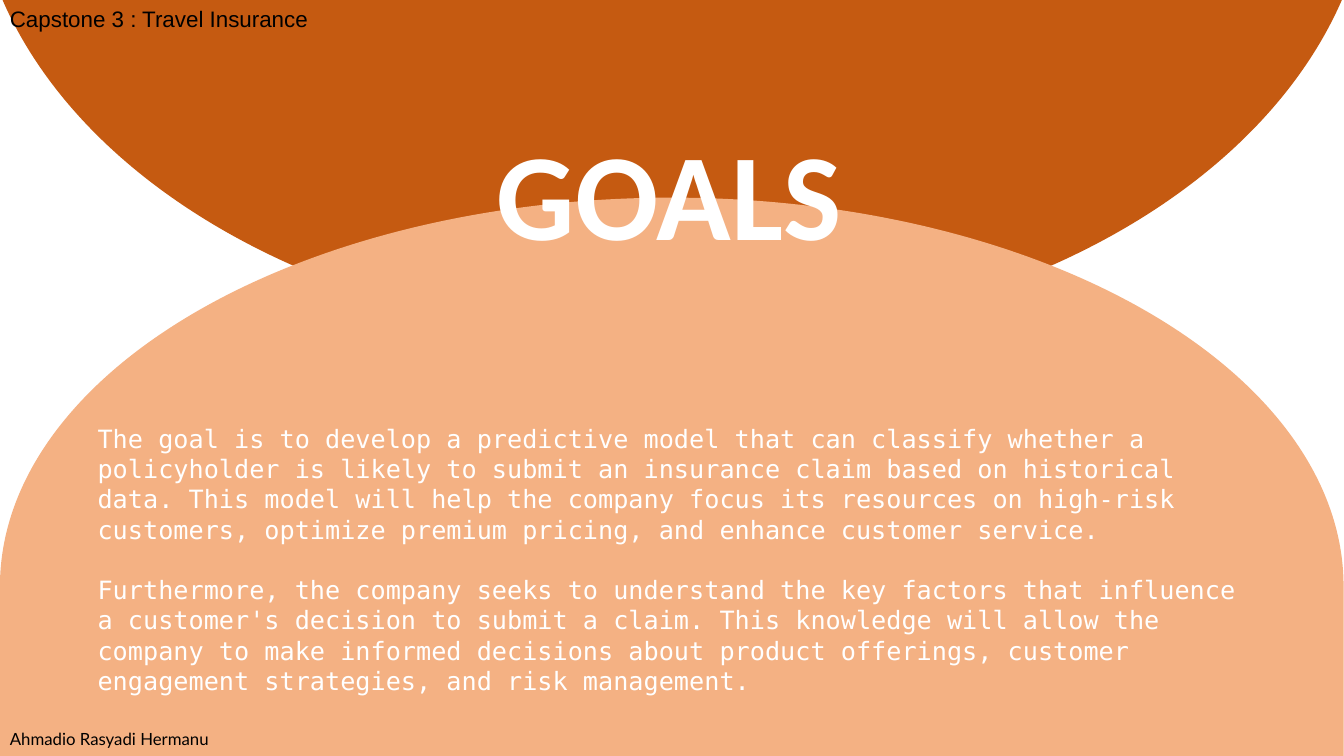
from pptx import Presentation
from pptx.dml.color import RGBColor
from pptx.enum.shapes import MSO_SHAPE as SHAPE
from pptx.util import Cm, Pt

ORANGE = RGBColor(0xC5, 0x5A, 0x11)
PEACH = RGBColor(0xF4, 0xB1, 0x83)
BLACK = RGBColor(0x00, 0x00, 0x00)
WHITE = RGBColor(0xFF, 0xFF, 0xFF)

prs = Presentation()
prs.slide_width, prs.slide_height = Cm(33.87), Cm(19.05)
s = prs.slides.add_slide(prs.slide_layouts[6])


def add_dome(x, y, w, h, rotation, color):
    sp = s.shapes.add_shape(SHAPE.FLOWCHART_DELAY, Cm(x), Cm(y), Cm(w), Cm(h))
    sp.rotation = rotation
    sp.shadow.inherit = False
    sp.fill.solid()
    sp.fill.fore_color.rgb = color
    sp.line.fill.background()


def add_text(x, y, w, h, paragraphs, font, size, color, bold=False):
    tf = s.shapes.add_textbox(Cm(x), Cm(y), Cm(w), Cm(h)).text_frame
    tf.word_wrap = True
    tf.text = "\n".join(paragraphs)
    for p in tf.paragraphs:
        f = p.runs[0].font
        f.name, f.size, f.bold = font, Pt(size), bold
        f.color.rgb = color
    return tf


# Two facing domes
add_dome(4.85, -21.08, 24.18, 35.23, 90, ORANGE)
add_dome(7.14, -2.16, 19.58, 33.86, 270, PEACH)

# Header, author and title
add_text(0, 0, 15.9, 0.94, ["Capstone 3 : Travel Insurance"], "Arial", 16, BLACK)
add_text(0, 18.24, 8.86, 0.76, ["Ahmadio Rasyadi Hermanu"], "Lato", 12, BLACK)
add_text(12.27, 2.84, 9.32, 4.01, ["GOALS"], "Calibri", 88, WHITE, bold=True)

# Goal statement
goals = [
    "The goal is to develop a predictive model that can classify whether a "
    "policyholder is likely to submit an insurance claim based on historical "
    "data. This model will help the company focus its resources on high-risk "
    "customers, optimize premium pricing, and enhance customer service.",
    "Furthermore, the company seeks to understand the key factors that influence "
    "a customer's decision to submit a claim. This knowledge will allow the "
    "company to make informed decisions about product offerings, customer "
    "engagement strategies, and risk management.",
]
tf = add_text(2.21, 10.54, 29.44, 7.95, goals, "DejaVu Sans Mono", 18, WHITE)
tf.paragraphs[1].space_before = Pt(21.6)

prs.save("out.pptx")
